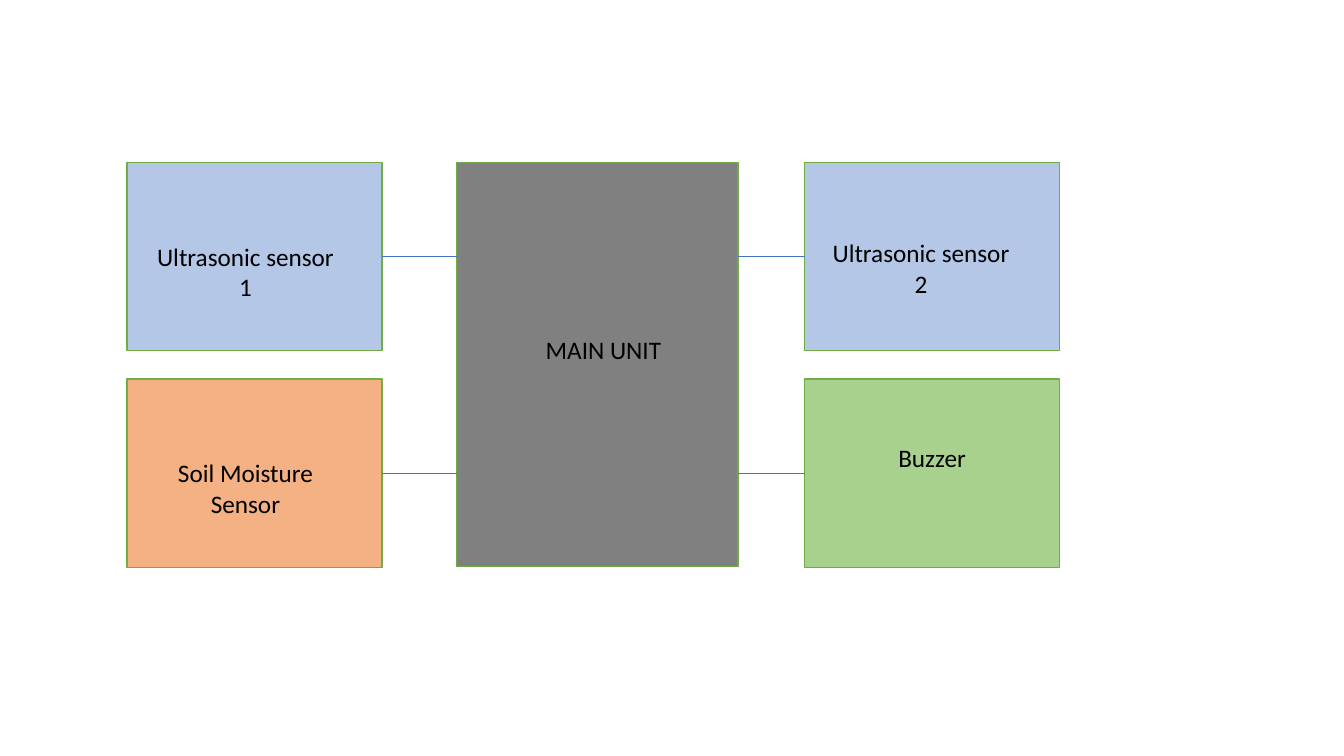
from dataclasses import dataclass

from lxml import etree
from pptx import Presentation
from pptx.dml.color import RGBColor
from pptx.enum.shapes import MSO_CONNECTOR, MSO_SHAPE
from pptx.enum.text import MSO_AUTO_SIZE, PP_ALIGN
from pptx.oxml.ns import qn
from pptx.util import Inches, Pt

RECTANGLE = MSO_SHAPE.RECTANGLE
STRAIGHT = MSO_CONNECTOR.STRAIGHT
GROW = MSO_AUTO_SIZE.SHAPE_TO_FIT_TEXT
CENTER = PP_ALIGN.CENTER
LEFT_SIDE, RIGHT_SIDE = 1, 3


@dataclass(frozen=True)
class Theme:
    font: str = "Calibri"
    text_size: float = 18
    text: str = "000000"
    controller: str = "808080"
    ultrasonic: str = "B4C7E7"
    moisture: str = "F4B183"
    buzzer: str = "A9D18E"
    border: str = "70AD47"
    border_width: float = 1
    wire: str = "4472C4"
    wire_width: float = 0.5


THEME = Theme()

# Content: label, fill, column, row, label offset within its block (inches)
MODULES = [
    ("Ultrasonic sensor 1", THEME.ultrasonic, 0, 0, (0.19, 0.73)),
    ("Ultrasonic sensor 2", THEME.ultrasonic, 1, 0, (0.17, 0.70)),
    ("Soil Moisture Sensor", THEME.moisture, 0, 1, (0.19, 0.73)),
    ("Buzzer", THEME.buzzer, 1, 1, (0.28, 0.58)),
]
CONTROLLER = ("MAIN UNIT", THEME.controller, (0.47, 1.66))

# Layout in inches
SLIDE_WIDTH, SLIDE_HEIGHT = 13.33, 7.5
TOP = 1.61
COLUMN_LEFTS = (1.26, 7.98)
MODULE_WIDTH, MODULE_HEIGHT = 2.53, 1.87
ROW_PITCH = 2.15
CONTROLLER_LEFT, CONTROLLER_WIDTH, CONTROLLER_HEIGHT = 4.53, 2.79, 4.01
LABEL_WIDTH = 1.97
ONE_LINE, TWO_LINES = 0.40, 0.71


def add_block(slide, left, top, width, height, fill):
    shape = slide.shapes.add_shape(
        RECTANGLE, Inches(left), Inches(top), Inches(width), Inches(height))
    shape.shadow.inherit = False
    shape.fill.solid()
    shape.fill.fore_color.rgb = RGBColor.from_string(fill)
    shape.line.color.rgb = RGBColor.from_string(THEME.border)
    shape.line.width = Pt(THEME.border_width)
    return shape


def add_label(slide, text, left, top, height):
    box = slide.shapes.add_textbox(
        Inches(left), Inches(top), Inches(LABEL_WIDTH), Inches(height))
    frame = box.text_frame
    frame.word_wrap = True
    frame.auto_size = GROW
    paragraph = frame.paragraphs[0]
    paragraph.alignment = CENTER
    run = paragraph.add_run()
    run.text = text
    run.font.name = THEME.font
    run.font.size = Pt(THEME.text_size)
    run.font.color.rgb = RGBColor.from_string(THEME.text)


def add_wire(slide, module, column):
    """Join a module's inner side to the facing edge of the controller."""
    edge = CONTROLLER_LEFT + column * CONTROLLER_WIDTH
    middle = module.top + module.height // 2
    wire = slide.shapes.add_connector(
        STRAIGHT, module.left, middle, Inches(edge), middle)
    wire.begin_connect(module, LEFT_SIDE if column else RIGHT_SIDE)
    wire.line.color.rgb = RGBColor.from_string(THEME.wire)
    wire.line.width = Pt(THEME.wire_width)
    etree.SubElement(wire._element.spPr, qn("a:effectLst"))


def main():
    presentation = Presentation()
    presentation.slide_width = Inches(SLIDE_WIDTH)
    presentation.slide_height = Inches(SLIDE_HEIGHT)
    slide = presentation.slides.add_slide(presentation.slide_layouts[6])

    # Controller in the middle
    text, fill, (offset_x, offset_y) = CONTROLLER
    add_block(slide, CONTROLLER_LEFT, TOP, CONTROLLER_WIDTH, CONTROLLER_HEIGHT, fill)
    add_label(slide, text, CONTROLLER_LEFT + offset_x, TOP + offset_y, ONE_LINE)

    # Modules on both sides, each wired to the controller
    for text, fill, column, row, (offset_x, offset_y) in MODULES:
        left = COLUMN_LEFTS[column]
        top = TOP + row * ROW_PITCH
        module = add_block(slide, left, top, MODULE_WIDTH, MODULE_HEIGHT, fill)
        label_height = TWO_LINES if " " in text else ONE_LINE
        add_label(slide, text, left + offset_x, top + offset_y, label_height)
        add_wire(slide, module, column)

    presentation.save("out.pptx")


if __name__ == "__main__":
    main()
